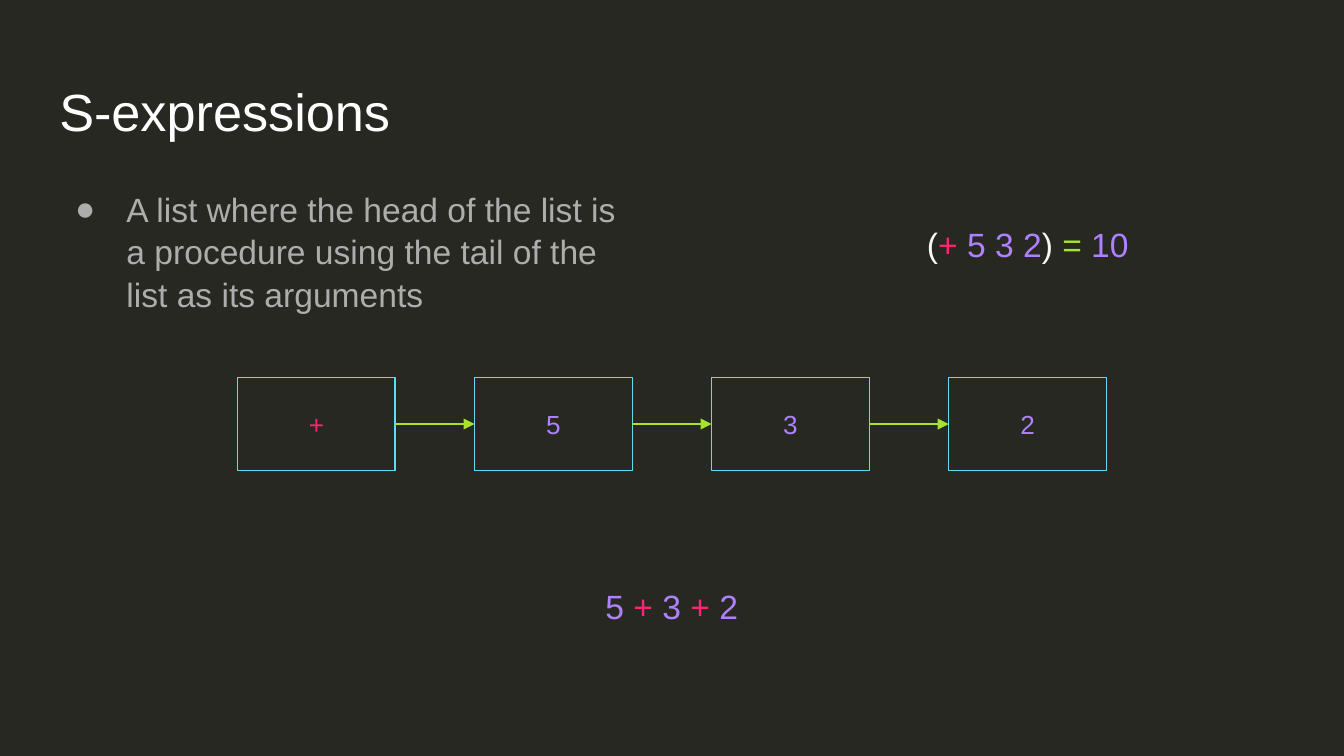
from dataclasses import dataclass
from itertools import groupby, pairwise

from lxml import etree
from pptx import Presentation
from pptx.dml.color import RGBColor
from pptx.enum.dml import MSO_THEME_COLOR
from pptx.enum.shapes import MSO_CONNECTOR, MSO_SHAPE
from pptx.enum.text import MSO_ANCHOR, MSO_AUTO_SIZE, PP_ALIGN
from pptx.oxml.ns import qn
from pptx.util import Cm, Pt

LEFT, CENTER = PP_ALIGN.LEFT, PP_ALIGN.CENTER
TOP, MIDDLE = MSO_ANCHOR.TOP, MSO_ANCHOR.MIDDLE
NO_AUTOFIT = MSO_AUTO_SIZE.NONE
RECTANGLE, STRAIGHT = MSO_SHAPE.RECTANGLE, MSO_CONNECTOR.STRAIGHT
LEFT_SITE, RIGHT_SITE = 1, 3


@dataclass(frozen=True)
class Theme:
    font: str = "Arial"
    background: str = "272822"
    title: str = "FFFFFF"
    body: str = "ADADAD"
    punctuation: str = "F8F8F2"
    operator: str = "F92672"
    number: str = "AE81FF"
    equals: str = "A6E22E"
    cell_border: str = "66D9EF"
    arrow: str = "A6E22E"
    title_size: int = 28
    text_size: int = 18
    cell_size: int = 14
    line_width: float = 0.75


THEME = Theme()


def rgb(color):
    return RGBColor.from_string(color)


def place(shape, left, top, width, height):
    bounds = {"left": left, "top": top, "width": width, "height": height}
    for side, length in bounds.items():
        setattr(shape, side, Cm(length))


def format_frame(frame, anchor=TOP):
    settings = {"word_wrap": True, "auto_size": NO_AUTOFIT, "vertical_anchor": anchor}
    settings |= {f"margin_{side}": Cm(0.25) for side in ("left", "right", "top", "bottom")}
    for name, value in settings.items():
        setattr(frame, name, value)


def add_run(paragraph, text, size, color):
    run = paragraph.add_run()
    run.text = text
    for name, value in {"name": THEME.font, "size": Pt(size)}.items():
        setattr(run.font, name, value)
    run.font.color.rgb = rgb(color)


def token_color(character):
    if character.isdigit():
        return THEME.number
    return {"+": THEME.operator, "=": THEME.equals}.get(character, THEME.punctuation)


def write_code(frame, code, size):
    """Write centred code, coloured by kind of token."""
    paragraph = frame.paragraphs[0]
    paragraph.alignment = CENTER
    for color, characters in groupby(code, key=token_color):
        add_run(paragraph, "".join(characters), size, color)


def fill_placeholder(placeholder, bounds, text, size, color):
    place(placeholder, *bounds)
    format_frame(placeholder.text_frame)
    paragraph = placeholder.text_frame.paragraphs[0]
    paragraph.alignment = LEFT
    paragraph.space_before = Pt(0)
    add_run(paragraph, text, size, color)
    return paragraph


def add_bullet(paragraph, color):
    properties = paragraph._p.get_or_add_pPr()
    properties.set("marL", str(Cm(1.27)))
    properties.set("indent", str(Cm(-0.97)))
    bullet_color = etree.SubElement(properties, qn("a:buClr"))
    etree.SubElement(bullet_color, qn("a:srgbClr"), val=color)
    etree.SubElement(properties, qn("a:buFont"), typeface=THEME.font)
    etree.SubElement(properties, qn("a:buChar"), char="●")


def add_expression(slide, code, left, top):
    box = slide.shapes.add_textbox(Cm(left), Cm(top), Cm(4.67), Cm(1.14))
    format_frame(box.text_frame)
    write_code(box.text_frame, code, THEME.text_size)


def add_cell(slide, symbol, left):
    cell = slide.shapes.add_shape(RECTANGLE, Cm(left), Cm(7.14), Cm(2.98), Cm(1.75))
    cell.shadow.inherit = False
    cell.fill.solid()
    cell.fill.fore_color.rgb = rgb(THEME.background)
    cell.line.color.rgb = rgb(THEME.cell_border)
    cell.line.width = Pt(THEME.line_width)
    format_frame(cell.text_frame, MIDDLE)
    write_code(cell.text_frame, symbol, THEME.cell_size)
    return cell


def add_arrow(slide, source, target):
    arrow = slide.shapes.add_connector(STRAIGHT, 0, 0, 0, 0)
    arrow.begin_connect(source, RIGHT_SITE)
    arrow.end_connect(target, LEFT_SITE)
    arrow.line.color.rgb = rgb(THEME.arrow)
    arrow.line.width = Pt(THEME.line_width)
    etree.SubElement(arrow.line._get_or_add_ln(), qn("a:tailEnd"), type="triangle")
    etree.SubElement(arrow._element.spPr, qn("a:effectLst"))


def add_linked_list(slide, symbols, left=4.49, pitch=4.48):
    cells = [add_cell(slide, symbol, left + i * pitch) for i, symbol in enumerate(symbols)]
    for source, target in pairwise(cells):
        add_arrow(slide, source, target)


def main():
    deck = Presentation()
    deck.slide_width, deck.slide_height = Cm(25.4), Cm(14.29)
    slide = deck.slides.add_slide(deck.slide_layouts[1])
    slide.background.fill.solid()
    slide.background.fill.fore_color.rgb = rgb(THEME.background)

    title, body = slide.placeholders
    fill_placeholder(title, (0.87, 1.24, 23.67, 1.6), "S-expressions",
                     THEME.title_size, THEME.title)
    definition = fill_placeholder(
        body, (0.87, 3.28, 11.18, 3.12),
        "A list where the head of the list is a procedure using the tail of the "
        "list as its arguments", THEME.text_size, THEME.body)
    definition.line_spacing = 1.05
    add_bullet(definition, THEME.body)

    add_expression(slide, "(+ 5 3 2) = 10", 17.09, 3.99)
    add_linked_list(slide, "+532")
    add_expression(slide, "5 + 3 + 2", 10.36, 10.82)
    deck.save("out.pptx")


if __name__ == "__main__":
    main()
